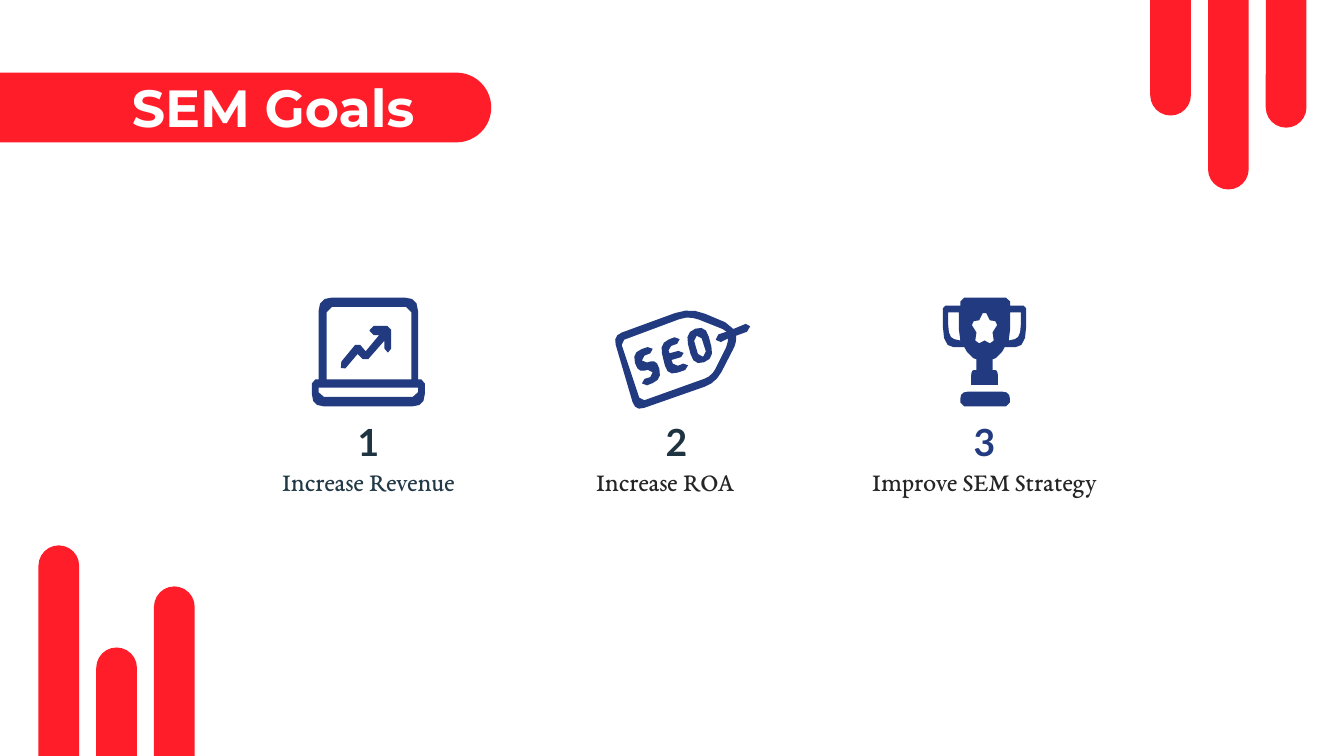
from dataclasses import dataclass
from math import dist

from pptx import Presentation
from pptx.dml.color import RGBColor
from pptx.enum.shapes import MSO_SHAPE
from pptx.enum.text import MSO_ANCHOR, MSO_AUTO_SIZE, PP_ALIGN
from pptx.util import Pt


@dataclass(frozen=True)
class Theme:
    """Colours, fonts and type sizes of the deck."""
    red: str = "FF1D2A"
    white: str = "FFFFFF"
    navy: str = "223A80"
    slate: str = "1F3441"
    teal: str = "223947"
    ink: str = "252525"
    title_font: str = "Montserrat"
    number_font: str = "Lato"
    caption_font: str = "EB Garamond"
    title_size: int = 28
    number_size: int = 20
    caption_size: int = 14


@dataclass(frozen=True)
class Box:
    """A rectangle in points."""
    left: float
    top: float
    width: float
    height: float

    def lengths(self):
        """Return the four lengths that a shape takes."""
        return [Pt(value) for value in (self.left, self.top, self.width, self.height)]


@dataclass(frozen=True)
class Goal:
    """One goal; offsets are measured from its column's centre and top."""
    caption: str
    caption_color: str
    caption_width: float
    number_color: str
    icon: list
    icon_left: float
    icon_top: float = 0
    caption_shift: float = 0


THEME = Theme()
ICON_UNIT = 0.72
LARGE_RADIUS = 5

# Each icon lists shapes, each shape lists outlines of (x, y, corner radius).
LAPTOP = [
    [[(5, 0, 10), (79, 0, 10), (79, 61, 0), (84, 61, 3), (84, 81, 9), (0, 81, 9), (0, 61, 3), (5, 61, 0)],
     [(11, 7, 4), (74, 7, 4), (74, 61, 0), (11, 61, 0)],
     [(5, 67, 0), (79, 67, 0), (79, 74, 4), (5, 74, 4)]],
    [[(43, 21, 3), (59, 21, 3), (59, 41, 3), (54, 41, 3), (54, 32, 0), (40, 48, 3), (34, 42, 0),
      (23, 55, 3), (20, 50, 3), (34, 33, 3), (40, 40, 0), (50, 28, 0), (43, 28, 3)]],
]
TAG = [
    [[(-0.5, 19, 7), (57, -2, 12), (83, 9, 0), (89, 14, 0), (101, 9, 3), (102, 15, 3), (91, 19, 0),
      (91, 25, 5), (76, 54, 9), (16, 75, 7)],
     [(5, 23, 3), (56, 4, 8), (81, 14, 0), (84, 16, 0), (75, 19, 3), (77, 25, 3), (85, 21, 0),
      (85, 25, 3), (73, 49, 6), (20, 68, 3)]],
    [[(28, 26.5, 3), (30, 31, 3), (20, 35, 3), (22, 40, 3), (32, 36.5, 7), (36, 51.5, 9),
      (22, 57, 3), (20, 52, 3), (30, 49, 3), (28, 43.5, 3), (18, 46.5, 7), (13.5, 31.5, 9)]],
    [[(48, 19, 3), (50, 24, 3), (40, 27.5, 3), (41.5, 32, 0), (51, 29.5, 3), (53, 34, 3),
      (43, 37, 0), (45, 42.5, 3), (54.5, 38.5, 3), (56, 43.5, 3), (40, 49, 8), (34, 24.5, 8)]],
    [[(53, 16.5, 9), (68.5, 11, 9), (75, 36, 9), (59.5, 41.5, 9)],
     [(59, 20, 3), (64.5, 18, 3), (69.5, 33.5, 3), (63.5, 35.5, 3)]],
]
TROPHY = [
    [[(13, 0, 3), (50, 0, 3), (50, 6, 0), (62, 6, 2), (62, 37, 18), (46, 37, 0), (42, 44, 4), (37, 46, 0),
      (37, 54, 0), (41, 54, 5), (41, 65, 0), (21, 65, 0), (21, 54, 5), (25, 54, 0), (25, 46, 0),
      (20, 44, 4), (16, 37, 0), (0, 37, 18), (0, 6, 2), (13, 6, 0)],
     [(50, 11, 0), (58, 11, 0), (58, 30, 10), (49, 32, 0), (50, 24, 0)],
     [(12, 11, 0), (4, 11, 0), (4, 30, 10), (13, 32, 0), (12, 24, 0)],
     [(31, 9, 3), (35, 17, 0), (42, 18, 3), (37, 26, 0), (38.5, 36, 4), (31, 32, 0),
      (23.5, 36, 4), (25, 26, 0), (20, 18, 3), (27, 17, 0)]],
    [[(13, 70, 6), (50, 70, 6), (50, 81, 3), (13, 81, 3)]],
]
GOALS = [
    Goal("Increase Revenue", THEME.teal, 139, THEME.slate, LAPTOP, -30.3),
    Goal("Increase ROA", THEME.ink, 97.2, THEME.slate, TAG, -33.6, 6.8, -6),
    Goal("Improve SEM Strategy", THEME.ink, 149.8, THEME.navy, TROPHY, -22.3),
]


def paint(shape, color):
    """Give a shape a flat fill with neither line nor shadow."""
    shape.fill.solid()
    shape.fill.fore_color.rgb = RGBColor.from_string(color)
    shape.line.fill.background()
    shape.shadow.inherit = False


def add_pill(page, box):
    """Add a red bar with fully rounded ends."""
    pill = page.shapes.add_shape(MSO_SHAPE.ROUNDED_RECTANGLE, *box.lengths())
    pill.adjustments[0] = 0.5
    paint(pill, THEME.red)


def add_bars(page, box, spans):
    """Place a row of bars in the box, each span a top offset and a height."""
    bar_width = 21.8
    pitch = (box.width - bar_width) / (len(spans) - 1)
    for index, (offset, height) in enumerate(spans):
        add_pill(page, Box(box.left + index * pitch, box.top + offset, bar_width, height))


def write(shape, text, font_name, size, color, bold=False, align=PP_ALIGN.CENTER):
    """Set the text of a shape as one formatted paragraph and return it."""
    frame = shape.text_frame
    frame.word_wrap = True
    frame.auto_size = MSO_AUTO_SIZE.NONE
    frame.vertical_anchor = MSO_ANCHOR.TOP
    frame.margin_left = frame.margin_right = frame.margin_top = frame.margin_bottom = Pt(7.2)
    para = frame.paragraphs[0]
    para.text = text
    para.alignment = align
    para.font.name = font_name
    para.font.size = Pt(size)
    para.font.bold = bold
    para.font.color.rgb = RGBColor.from_string(color)
    return para


def add_title(page, box, text):
    """Place the title on a red bar that bleeds off the left edge."""
    add_pill(page, Box(-126.4, box.top + 5.8, 389.6, 37.4))
    title = page.shapes.title
    title.left, title.top, title.width, title.height = box.lengths()
    title.element.getparent().append(title.element)
    write(title, text, THEME.title_font, THEME.title_size, THEME.white, True, PP_ALIGN.LEFT)


def round_corners(outline):
    """Return the outline's points, small corners cut and large ones curved."""
    points = []
    for index, (x, y, radius) in enumerate(outline):
        if not radius:
            points.append((x, y))
            continue
        ends = []
        for near_x, near_y, _ in (outline[index - 1], outline[(index + 1) % len(outline)]):
            share = min(radius / dist((x, y), (near_x, near_y)), 0.5)
            ends.append((x + (near_x - x) * share, y + (near_y - y) * share))
        steps = 3 if radius >= LARGE_RADIUS else 1
        for step in range(steps + 1):
            t = step / steps
            points.append(tuple((1 - t) ** 2 * start + 2 * t * (1 - t) * corner + t ** 2 * end
                                for start, corner, end in zip(ends[0], (x, y), ends[1])))
    return points


def add_icon(page, left, top, icon):
    """Draw an icon as a group of filled outlines."""
    group = page.shapes.add_group_shape()
    for outlines in icon:
        builder = None
        for outline in outlines:
            points = [(Pt(left + x * ICON_UNIT), Pt(top + y * ICON_UNIT))
                      for x, y in round_corners(outline)]
            if builder is None:
                builder = group.shapes.build_freeform(*points[0])
            else:
                builder.move_to(*points[0])
            builder.add_line_segments(points[1:], close=True)
        paint(builder.convert_to_shape(), THEME.navy)


def add_goal(page, box, number, goal):
    """Place a goal's icon, number and caption in its column."""
    center = box.left + box.width / 2
    add_icon(page, center + goal.icon_left, box.top + goal.icon_top, goal.icon)
    number_box = Box(center - 14, box.top + 58, 28, 38)
    write(page.shapes.add_textbox(*number_box.lengths()), str(number),
          THEME.number_font, THEME.number_size, goal.number_color, True)
    caption_left = center + goal.caption_shift - goal.caption_width / 2
    caption_box = Box(caption_left, box.top + 80.3, goal.caption_width, 34.6)
    para = write(page.shapes.add_textbox(*caption_box.lengths()), goal.caption,
                 THEME.caption_font, THEME.caption_size, goal.caption_color)
    para.line_spacing = 1.15


def add_goals(page, box):
    """Share the box equally among the goals."""
    width = box.width / len(GOALS)
    for index, goal in enumerate(GOALS):
        add_goal(page, Box(box.left + index * width, box.top, width, box.height), index + 1, goal)


def main():
    """Build and save the deck."""
    deck = Presentation()
    deck.slide_width, deck.slide_height = Pt(720), Pt(405)
    page = deck.slides.add_slide(deck.slide_layouts[5])
    add_bars(page, Box(616.2, 0, 83.7, 102), [(-113.8, 175.7), (-33.9, 135.4), (-67, 135.4)])
    add_bars(page, Box(20.6, 292.2, 83.7, 113), [(0, 175.7), (54.7, 175.7), (22, 175.7)])
    add_title(page, Box(63.4, 33.1, 174.2, 45.4), "SEM Goals")
    add_goals(page, Box(114.9, 159.4, 495, 115))
    deck.save("out.pptx")


if __name__ == "__main__":
    main()
